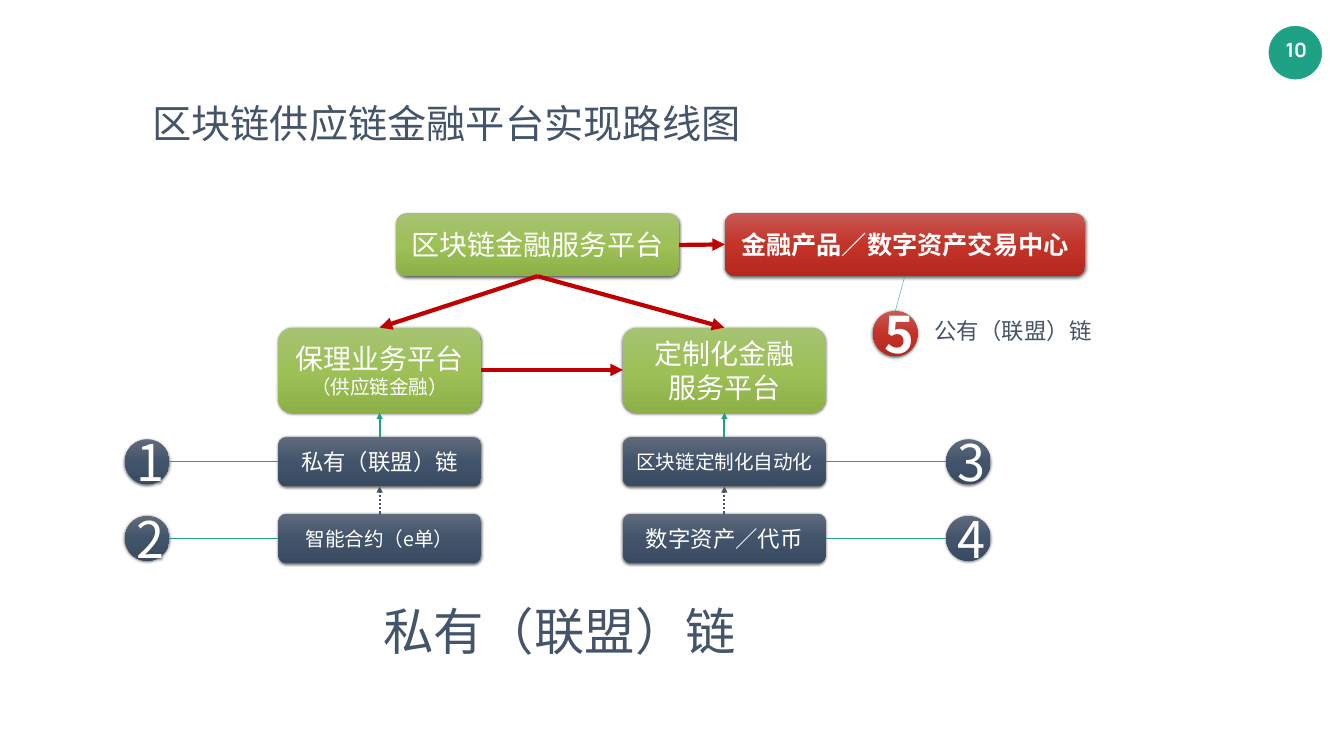
from lxml.etree import SubElement
from pptx import Presentation
from pptx.dml.color import RGBColor
from pptx.enum.dml import MSO_LINE
from pptx.enum.shapes import MSO_CONNECTOR, MSO_SHAPE
from pptx.enum.text import MSO_ANCHOR, MSO_AUTO_SIZE, PP_ALIGN
from pptx.oxml.ns import qn
from pptx.util import Inches, Pt

WHITE = RGBColor(0xFF, 0xFF, 0xFF)
SLATE = RGBColor(0x44, 0x54, 0x69)
TEAL = RGBColor(0x1E, 0xA1, 0x85)
CRIMSON = RGBColor(0xC0, 0x00, 0x00)
GREEN_SHADES = [RGBColor(0xA6, 0xC3, 0x72), RGBColor(0x9D, 0xC0, 0x57), RGBColor(0x8D, 0xB0, 0x48)]
SLATE_SHADES = [RGBColor(0x60, 0x6B, 0x7C), RGBColor(0x42, 0x54, 0x6B), RGBColor(0x39, 0x4A, 0x61)]
RED_SHADES = [RGBColor(0xC7, 0x59, 0x54), RGBColor(0xC4, 0x33, 0x28), RGBColor(0xB5, 0x28, 0x1D)]
CHINESE_FONT = "Noto Sans CJK SC"
NUMBER_FONT = "Manrope"

BOX_WIDTH = 4.02
STEP_HEIGHT = 0.98
PLATFORM_TOP, PLATFORM_HEIGHT = 6.5, 1.69
TOP_ROW, TOP_HEIGHT = 4.23, 1.25
BADGE_WIDTH, BADGE_HEIGHT = 0.88, 0.89
STEP_TOPS = [8.67, 10.19]
COLUMNS = [
    (5.52, [("保理业务平台", 40), ("（供应链金融）", 28)],
     [("私有（联盟）链", 32), ("智能合约（e单）", 28)], 2.48, ["1", "2"]),
    (12.36, [("定制化金融", 40), ("服务平台", 40)],
     [("区块链定制化自动化", 28), ("数字资产／代币", 32)], 18.77, ["3", "4"]),
]


def write_text(shape, lines, color, bold=False, align=PP_ALIGN.CENTER, font=CHINESE_FONT):
    frame = shape.text_frame
    frame.text = "\n".join(text for text, size in lines)
    for paragraph, (text, size) in zip(frame.paragraphs, lines):
        paragraph.alignment = align
        for span in paragraph.runs:
            span.font.size = Pt(size)
            span.font.bold = bold
            span.font.color.rgb = color
            span.font.name = font
            SubElement(span.font._element, qn("a:ea"), typeface=font)


def shade(shape, colors):
    shape.fill.gradient()
    shape.fill.gradient_angle = 270
    stops = shape._element.spPr.find(qn("a:gradFill")).find(qn("a:gsLst"))
    for stop in list(stops):
        stops.remove(stop)
    for position, color in zip((0, 50000, 100000), colors):
        stop = SubElement(stops, qn("a:gs"), pos=str(position))
        SubElement(stop, qn("a:srgbClr"), val=str(color))


def cast_shadow(shape):
    shape.shadow.inherit = False
    effects = shape._element.spPr.find(qn("a:effectLst"))
    shadow = SubElement(effects, qn("a:outerShdw"), blurRad=str(Pt(4.5)),
                        dist=str(Pt(1.5)), dir="5400000", rotWithShape="0")
    color = SubElement(shadow, qn("a:srgbClr"), val="000000")
    SubElement(color, qn("a:alpha"), val="63000")


def add_block(page, kind, left, top, width, height, lines, colors, bold=False):
    block = page.shapes.add_shape(kind, Inches(left), Inches(top), Inches(width), Inches(height))
    shade(block, colors)
    block.line.fill.background()
    cast_shadow(block)
    block.text_frame.vertical_anchor = MSO_ANCHOR.MIDDLE
    write_text(block, lines, WHITE, bold)


def add_box(page, left, top, width, height, lines, colors, bold=False):
    add_block(page, MSO_SHAPE.ROUNDED_RECTANGLE, left, top, width, height, lines, colors, bold)


def add_badge(page, left, top, number, colors, bold=False):
    add_block(page, MSO_SHAPE.FLOWCHART_CONNECTOR, left, top, BADGE_WIDTH, BADGE_HEIGHT,
              [(number, 72)], colors, bold)


def add_line(page, start, end, color, width, arrow=False, dotted=False):
    line = page.shapes.add_connector(MSO_CONNECTOR.STRAIGHT, *map(Inches, start + end))
    line.line.color.rgb = color
    line.line.width = Pt(width)
    if dotted:
        line.line.dash_style = MSO_LINE.ROUND_DOT
    if arrow:
        SubElement(line.line._get_or_add_ln(), qn("a:tailEnd"), type="triangle")
    SubElement(line._element.spPr, qn("a:effectLst"))


def add_label(page, left, top, width, height, text, size, wrap=False):
    label = page.shapes.add_textbox(Inches(left), Inches(top), Inches(width), Inches(height))
    label.text_frame.word_wrap = wrap
    label.text_frame.auto_size = MSO_AUTO_SIZE.SHAPE_TO_FIT_TEXT
    write_text(label, [(text, size)], SLATE, align=PP_ALIGN.LEFT)


def add_page_number(page):
    circle = page.shapes.add_shape(MSO_SHAPE.OVAL, Inches(25.17), Inches(0.52),
                                   Inches(1.05), Inches(1.05))
    circle.shadow.inherit = False
    circle.fill.solid()
    circle.fill.fore_color.rgb = TEAL
    circle.line.color.rgb = TEAL
    circle.line.width = Pt(0.5)
    number = page.shapes.add_textbox(Inches(25.23), Inches(0.66), Inches(0.97), Inches(0.67))
    frame = number.text_frame
    frame.margin_left = frame.margin_right = Inches(0.2)
    frame.margin_top = frame.margin_bottom = Inches(0.1)
    frame.word_wrap = False
    frame.auto_size = MSO_AUTO_SIZE.SHAPE_TO_FIT_TEXT
    write_text(number, [("10", 28)], WHITE, bold=True, font=NUMBER_FONT)


def add_column(page, left, platform, steps, badge_left, numbers):
    center = left + BOX_WIDTH / 2
    platform_bottom = PLATFORM_TOP + PLATFORM_HEIGHT
    add_box(page, left, PLATFORM_TOP, BOX_WIDTH, PLATFORM_HEIGHT, platform, GREEN_SHADES)
    add_line(page, (10.66, TOP_ROW + TOP_HEIGHT), (center, PLATFORM_TOP), CRIMSON, 6, arrow=True)
    for top, step, number in zip(STEP_TOPS, steps, numbers):
        middle = top + STEP_HEIGHT / 2
        add_box(page, left, top, BOX_WIDTH, STEP_HEIGHT, [step], SLATE_SHADES)
        add_badge(page, badge_left, middle - BADGE_HEIGHT / 2, number, SLATE_SHADES)
        if badge_left < left:
            ends = left, badge_left + BADGE_WIDTH
        else:
            ends = badge_left, left + BOX_WIDTH
        add_line(page, (ends[0], middle), (ends[1], middle), TEAL, 0.5)
    add_line(page, (center, STEP_TOPS[0]), (center, platform_bottom), TEAL, 3, arrow=True)
    add_line(page, (center, STEP_TOPS[1]), (center, STEP_TOPS[0] + STEP_HEIGHT), SLATE, 3,
             arrow=True, dotted=True)


def main():
    deck = Presentation()
    deck.slide_width, deck.slide_height = Inches(26.66), Inches(15)
    page = deck.slides.add_slide(deck.slide_layouts[6])
    add_page_number(page)
    add_label(page, 2.92, 1.93, 11.9, 1.04, "区块链供应链金融平台实现路线图", 56)
    add_box(page, 7.86, TOP_ROW, 5.61, TOP_HEIGHT, [("区块链金融服务平台", 40)], GREEN_SHADES)
    for column in COLUMNS:
        add_column(page, *column)
    add_line(page, (9.54, 7.34), (12.36, 7.34), CRIMSON, 6, arrow=True)
    add_label(page, 7.5, 11.86, 7.27, 1.31, "私有（联盟）链", 72)
    add_label(page, 18.44, 6.24, 3.4, 0.64, "公有（联盟）链", 32, wrap=True)
    add_box(page, 14.38, TOP_ROW, 7.14, TOP_HEIGHT, [("金融产品／数字资产交易中心", 36)],
            RED_SHADES, bold=True)
    add_line(page, (13.47, 4.86), (14.38, 4.85), CRIMSON, 6, arrow=True)
    add_badge(page, 17.32, 6.17, "5", RED_SHADES, bold=True)
    add_line(page, (17.76, 6.17), (17.95, 5.47), TEAL, 0.5)
    deck.save("out.pptx")


if __name__ == "__main__":
    main()
